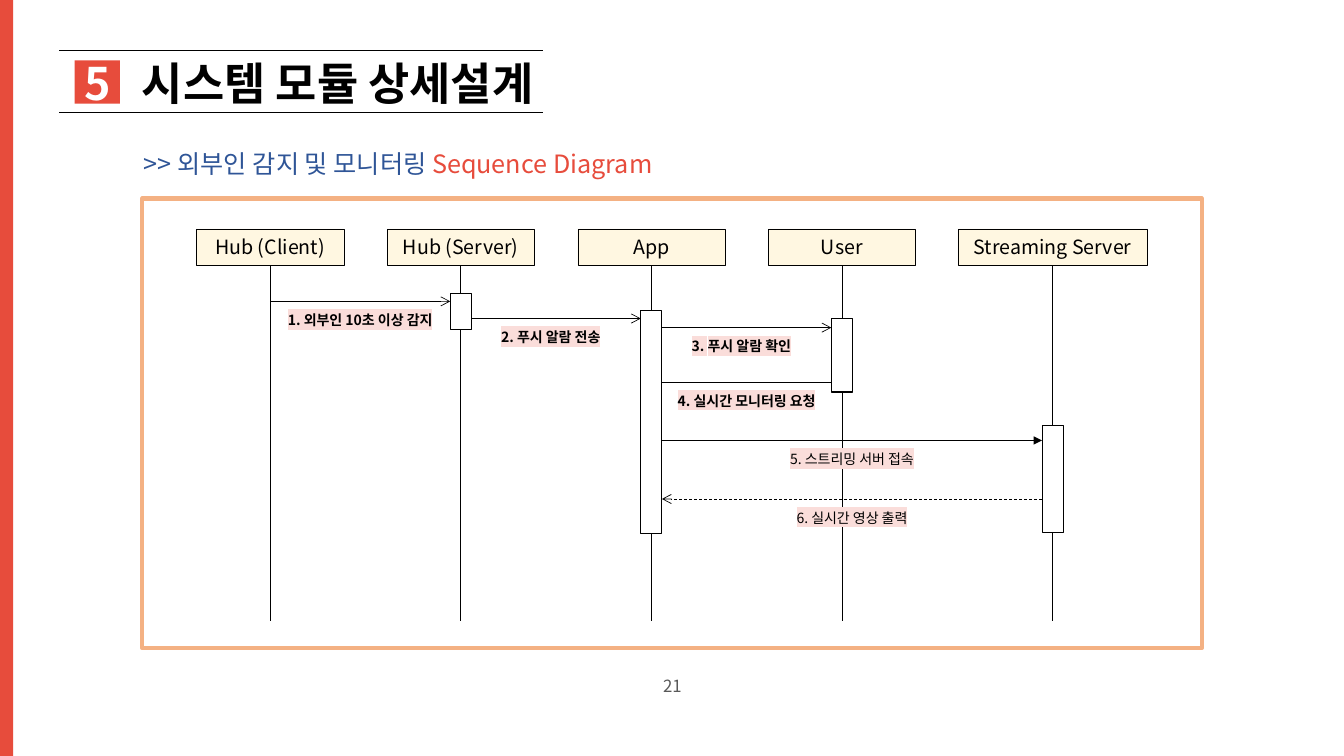
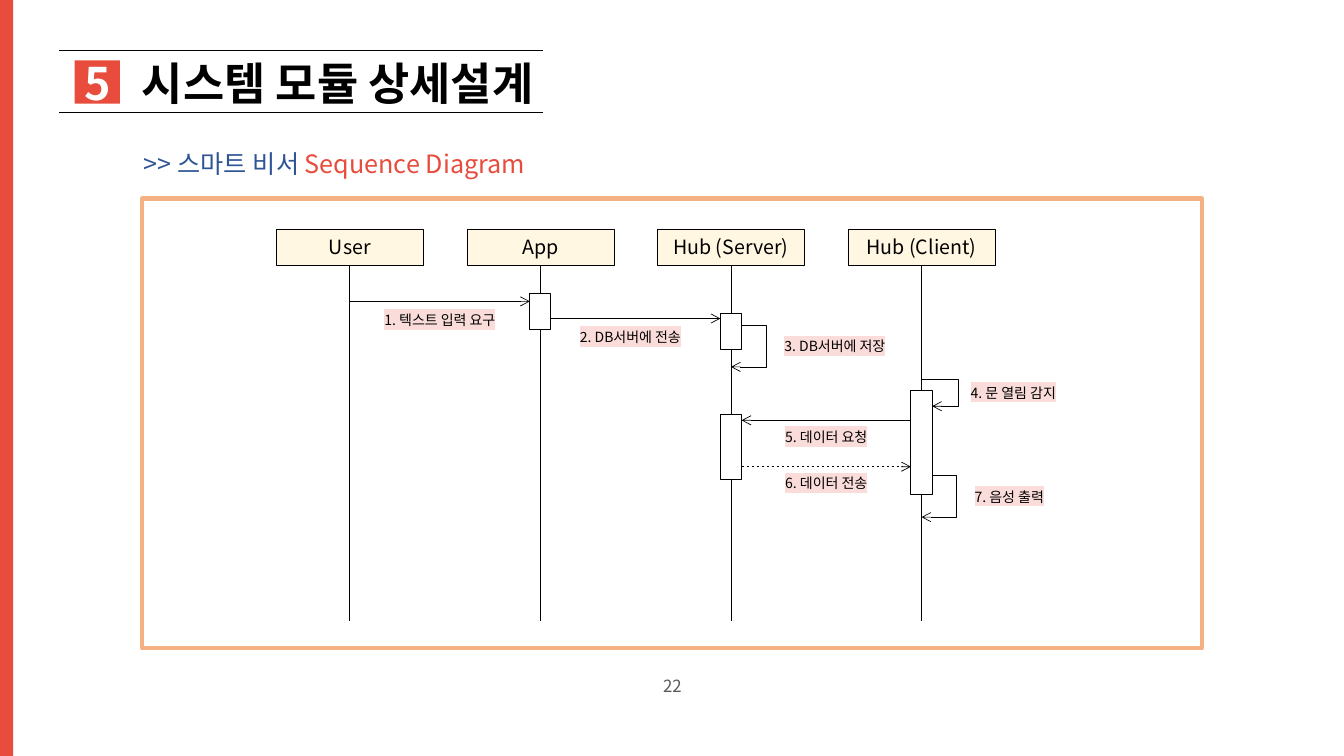
import dataclasses

import lxml.etree
import pptx
import pptx.dml.color
import pptx.enum.dml
import pptx.enum.shapes
import pptx.enum.text
import pptx.oxml.ns
import pptx.util

Inches = pptx.util.Inches
Align = pptx.enum.text.PP_ALIGN
qn = pptx.oxml.ns.qn


@dataclasses.dataclass(frozen=True)
class Theme:
    font: str = "Noto Sans CJK KR"
    red: str = "E74C3C"
    blue: str = "2F5597"
    orange: str = "F4B183"
    cream: str = "FFF7E1"
    pink: str = "FADDDA"
    gray: str = "595959"
    black: str = "000000"
    white: str = "FFFFFF"
    title_size: int = 32
    subtitle_size: int = 18
    head_size: int = 14
    page_size: int = 12
    label_size: int = 10
    thin: float = 0.5


THEME = Theme()

# Geometry of every sequence diagram, in inches
PITCH = 1.89
HEAD_TOP, HEAD_WIDTH, HEAD_HEIGHT = 2.27, 1.46, 0.36
LIFELINE_TOP, LIFELINE_BOTTOM = 2.64, 6.16
BAR_WIDTH = 0.21
LABEL_WIDTH, LABEL_HEIGHT, LABEL_GAP = 2.4, 0.27, 0.05

# Sides of an activation bar on which a message starts or ends
LEFT, MIDDLE, RIGHT = -1, 0, 1


@dataclasses.dataclass(frozen=True)
class Message:
    text: str
    start: tuple  # (column, side)
    end: tuple
    y: float
    head: str = "arrow"
    dashed: bool = False
    bold: bool = False
    gap: float = LABEL_GAP


@dataclasses.dataclass(frozen=True)
class SelfCall:
    text: str
    column: int
    start_side: int
    end_side: int
    top: float
    bottom: float
    reach: float
    label_center: float


@dataclasses.dataclass(frozen=True)
class Diagram:
    page: int
    subject: str
    heads: tuple  # (name, center, width)
    messages: tuple
    bars: tuple  # (column, top, height)
    self_calls: tuple = ()


def columns(first, names):
    return tuple((name, first + PITCH * index, HEAD_WIDTH) for index, name in enumerate(names))


INTRUDER = Diagram(
    page=21,
    subject="외부인 감지 및 모니터링",
    heads=columns(2.68, ("Hub (Client)", "Hub (Server)", "App", "User"))
    + (("Streaming Server", 10.44, 1.88),),
    messages=(
        Message("1. 외부인 10초 이상 감지", (0, MIDDLE), (1, LEFT), 2.99, bold=True),
        Message("2. 푸시 알람 전송", (1, MIDDLE), (2, LEFT), 3.16, bold=True),
        Message("3. 푸시 알람 확인", (2, MIDDLE), (3, LEFT), 3.25, bold=True),
        Message("4. 실시간 모니터링 요청", (3, LEFT), (2, RIGHT), 3.79, head="", bold=True),
        Message("5. 스트리밍 서버 접속", (2, RIGHT), (4, LEFT), 4.37, head="triangle"),
        Message("6. 실시간 영상 출력", (4, LEFT), (2, RIGHT), 4.95, dashed=True),
    ),
    bars=((1, 2.91, 0.36), (2, 3.08, 2.21), (3, 3.16, 0.73), (4, 4.22, 1.06)),
)

ASSISTANT = Diagram(
    page=22,
    subject="스마트 비서",
    heads=columns(3.47, ("User", "App", "Hub (Server)", "Hub (Client)")),
    messages=(
        Message("1. 텍스트 입력 요구", (0, MIDDLE), (1, LEFT), 2.99),
        Message("2. DB서버에 전송", (1, MIDDLE), (2, LEFT), 3.16),
        Message("5. 데이터 요청", (3, LEFT), (2, RIGHT), 4.17, gap=0.03),
        Message("6. 데이터 전송", (2, RIGHT), (3, LEFT), 4.63, dashed=True, gap=0.03),
    ),
    bars=((1, 2.91, 0.36), (2, 3.11, 0.36), (2, 4.11, 0.65), (3, 3.87, 1.04)),
    self_calls=(
        SelfCall("3. DB서버에 저장", 2, RIGHT, MIDDLE, 3.23, 3.64, 0.35, 8.28),
        SelfCall("4. 문 열림 감지", 3, MIDDLE, RIGHT, 3.76, 4.03, 0.36, 10.05),
        SelfCall("7. 음성 출력", 3, RIGHT, MIDDLE, 4.72, 5.13, 0.35, 10.01),
    ),
)


def rgb(color):
    return pptx.dml.color.RGBColor.from_string(color)


# Text
def add_span(para, text, size, color, bold=False, highlight=None):
    span = para.add_run()
    span.text = text
    span.font.size = pptx.util.Pt(size)
    span.font.bold = bold
    span.font.color.rgb = rgb(color)
    span.font.name = THEME.font
    properties = span.font._element
    east_asian = lxml.etree.Element(qn("a:ea"), typeface=THEME.font)
    properties.find(qn("a:latin")).addnext(east_asian)
    if highlight:
        marker = lxml.etree.Element(qn("a:highlight"))
        lxml.etree.SubElement(marker, qn("a:srgbClr"), val=highlight)
        properties.find(qn("a:solidFill")).addnext(marker)


def first_para(shape, align, side_margin=0):
    frame = shape.text_frame
    frame.word_wrap = True
    frame.vertical_anchor = pptx.enum.text.MSO_ANCHOR.MIDDLE
    frame.margin_left = frame.margin_right = Inches(side_margin)
    frame.margin_top = frame.margin_bottom = 0
    para = frame.paragraphs[0]
    para.alignment = align
    return para


def add_text(page, left, top, width, height, align=Align.LEFT):
    box = page.shapes.add_textbox(Inches(left), Inches(top), Inches(width), Inches(height))
    return first_para(box, align, side_margin=0.1)


def add_label(page, center, middle, text, bold=False):
    para = add_text(page, center - LABEL_WIDTH / 2, middle - LABEL_HEIGHT / 2,
                    LABEL_WIDTH, LABEL_HEIGHT, Align.CENTER)
    add_span(para, text, THEME.label_size, THEME.black, bold, THEME.pink)


# Shapes and lines
def add_box(page, left, top, width, height, fill, line=None, weight=0):
    box = page.shapes.add_shape(pptx.enum.shapes.MSO_SHAPE.RECTANGLE, Inches(left),
                                Inches(top), Inches(width), Inches(height))
    box.shadow.inherit = False
    box.fill.solid()
    box.fill.fore_color.rgb = rgb(fill)
    if line:
        box.line.color.rgb = rgb(line)
        box.line.width = pptx.util.Pt(weight)
    else:
        box.line.fill.background()
    return box


def add_line(page, start, end, head="", dashed=False, bend=None):
    kinds = pptx.enum.shapes.MSO_CONNECTOR
    kind = kinds.STRAIGHT if bend is None else kinds.ELBOW
    line = page.shapes.add_connector(kind, *(Inches(value) for value in start + end))
    line.line.color.rgb = rgb(THEME.black)
    line.line.width = pptx.util.Pt(THEME.thin)
    if dashed:
        line.line.dash_style = pptx.enum.dml.MSO_LINE.DASH
    properties = line._element.spPr
    if head:
        lxml.etree.SubElement(properties.find(qn("a:ln")), qn("a:tailEnd"), type=head)
    if bend is not None:
        # The bend is a share of the width, counted from the start
        share = round((bend - start[0]) / (end[0] - start[0]) * 100000)
        geometry = properties.find(qn("a:prstGeom"))
        guides = geometry.find(qn("a:avLst"))
        if guides is None:
            guides = lxml.etree.SubElement(geometry, qn("a:avLst"))
        lxml.etree.SubElement(guides, qn("a:gd"), name="adj1", fmla=f"val {share}")
    lxml.etree.SubElement(properties, qn("a:effectLst"))


# Parts shared by the pages
def add_frame(page, number, subject):
    add_box(page, 0, 0, 0.13, 7.5, THEME.red)
    badge = add_box(page, 0.74, 0.6, 0.45, 0.43, THEME.red)
    add_span(first_para(badge, Align.CENTER), "5", THEME.title_size, THEME.white, True)
    title = add_text(page, 1.31, 0.5, 4.88, 0.64)
    add_span(title, "시스템 모듈 상세설계", THEME.title_size, THEME.black, True)
    for y in (0.5, 1.11):
        add_line(page, (0.59, y), (5.39, y))
    subtitle = add_text(page, 1.33, 1.42, 5.86, 0.4)
    add_span(subtitle, f">> {subject} ", THEME.subtitle_size, THEME.blue)
    add_span(subtitle, "Sequence Diagram", THEME.subtitle_size, THEME.red)
    add_box(page, 1.41, 1.97, 10.51, 4.46, THEME.white, THEME.orange, 3)
    footer = add_text(page, 5.17, 6.6, 3, 0.4, Align.CENTER)
    add_span(footer, str(number), THEME.page_size, THEME.gray)


# Parts of a sequence diagram
def add_participant(page, name, center, width):
    head = add_box(page, center - width / 2, HEAD_TOP, width, HEAD_HEIGHT,
                   THEME.cream, THEME.black, 0.25)
    add_span(first_para(head, Align.CENTER), name, THEME.head_size, THEME.black)
    add_line(page, (center, LIFELINE_TOP), (center, LIFELINE_BOTTOM))


def add_diagram(page, diagram):
    centers = [center for _, center, _ in diagram.heads]

    def side_x(column, side):
        return centers[column] + side * BAR_WIDTH / 2

    for head in diagram.heads:
        add_participant(page, *head)
    for message in diagram.messages:
        start, end = side_x(*message.start), side_x(*message.end)
        add_line(page, (start, message.y), (end, message.y), message.head, message.dashed)
        add_label(page, (start + end) / 2, message.y + message.gap + LABEL_HEIGHT / 2,
                  message.text, message.bold)
    for call in diagram.self_calls:
        add_line(page, (side_x(call.column, call.start_side), call.top),
                 (side_x(call.column, call.end_side), call.bottom),
                 "arrow", bend=centers[call.column] + call.reach)
        add_label(page, call.label_center, (call.top + call.bottom) / 2, call.text)
    for column, top, height in diagram.bars:
        add_box(page, side_x(column, LEFT), top, BAR_WIDTH, height,
                THEME.white, THEME.black, 0.75)


def main():
    deck = pptx.Presentation()
    deck.slide_width, deck.slide_height = Inches(13.33), Inches(7.5)
    for diagram in (INTRUDER, ASSISTANT):
        page = deck.slides.add_slide(deck.slide_layouts[6])
        add_frame(page, diagram.page, diagram.subject)
        add_diagram(page, diagram)
    deck.save("out.pptx")


if __name__ == "__main__":
    main()
